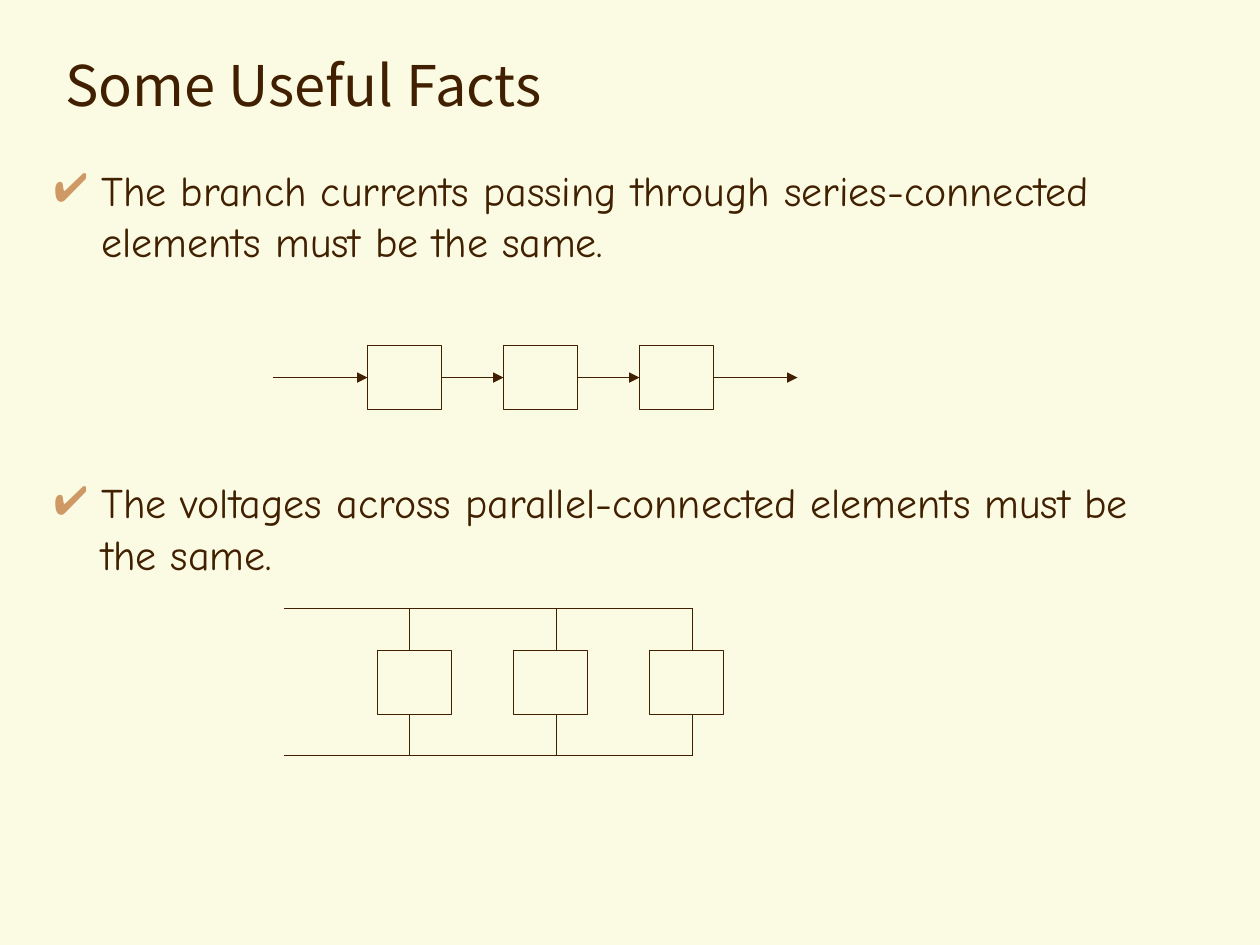
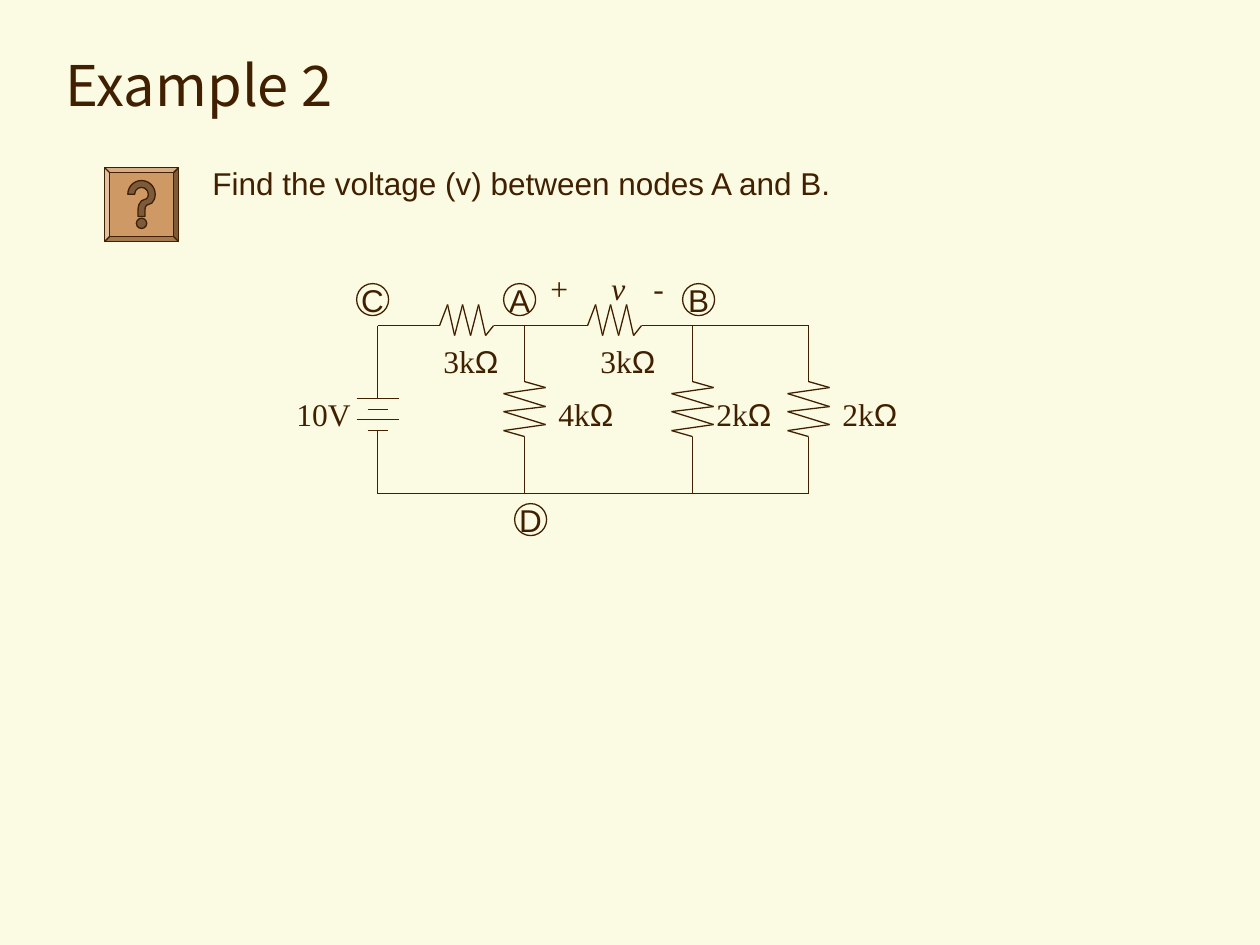
from itertools import pairwise

from lxml import etree
from pptx import Presentation
from pptx import util as u
from pptx.dml.color import RGBColor
from pptx.enum import shapes, text
from pptx.oxml.ns import qn

EMU_PER_PX = 914400 / 126
STROKE_SHIFT = 0.4  # keeps thin strokes off pixel edges, so they draw crisply
INK, PAPER, ACCENT = "402000", "FBFAE2", "CE9964"
TITLE_FONT, BODY_FONT = "Noto Sans CJK KR", "Comic Neue"
SANS, SERIF = "Arial", "Times New Roman"
LINE_WIDTH = u.Pt(0.75)
BOX_WIDTH, BOX_HEIGHT, BOX_STEP = 74, 64, 136

HORIZONTAL_ZIGZAG = [(0, 0), (8, -21), (15, 10), (23, -21),
                     (31, 10), (39, -21), (46, 10), (54, 0)]
VERTICAL_ZIGZAG = [(0, 0), (21, 6), (-21, 12), (21, 25),
                   (-21, 30), (21, 43), (-21, 49), (0, 55)]


def px(length):
    return u.Emu(round(length * EMU_PER_PX))


def stroke_px(position):
    return px(position - STROKE_SHIFT)


def rgb(color):
    return RGBColor.from_string(color)


def set_font(font, name, size, italic=False):
    font.name, font.size, font.italic = name, u.Pt(size), italic
    font.color.rgb = rgb(INK)


# Slide frame
def add_slide(presentation, title):
    layout = presentation.slide_layouts.get_by_name("Title Only")
    slide = presentation.slides.add_slide(layout)
    shape = slide.shapes.title
    shape.left, shape.top, shape.width, shape.height = map(px, (53, 32, 1155, 105))
    frame = shape.text_frame
    frame.text = title
    frame.vertical_anchor = text.MSO_ANCHOR.MIDDLE
    paragraph = frame.paragraphs[0]
    paragraph.alignment = text.PP_ALIGN.LEFT
    set_font(paragraph.font, TITLE_FONT, 32)
    return slide


# Text
def add_text_box(slide, left, top, width, height):
    frame = slide.shapes.add_textbox(*map(px, (left, top, width, height))).text_frame
    frame.word_wrap = True
    return frame


def add_text(slide, words, left, top, width, font=SANS, italic=False):
    paragraph = add_text_box(slide, left, top, width, 50).paragraphs[0]
    paragraph.text = words
    set_font(paragraph.font, font, 18, italic)


def add_resistance(slide, kilo_ohms, left, top):
    paragraph = add_text_box(slide, left, top, 83, 50).paragraphs[0]
    for words, font in ((f"{kilo_ohms}k", SERIF), ("Ω", SANS)):
        run = paragraph.add_run()
        run.text = words
        set_font(run.font, font, 18)


def add_check_bullet(paragraph):
    properties = paragraph._p.get_or_add_pPr()
    properties.set("marL", str(px(47)))
    properties.set("indent", str(-px(47)))
    color = etree.SubElement(properties, qn("a:buClr"))
    etree.SubElement(color, qn("a:srgbClr"), val=ACCENT)
    etree.SubElement(properties, qn("a:buSzPct"), val="120000")
    etree.SubElement(properties, qn("a:buChar"), char="✔")


def add_facts(slide, facts, gap):
    frame = add_text_box(slide, 42, 157, 1166, 662)
    for index, fact in enumerate(facts):
        paragraph = frame.add_paragraph() if index else frame.paragraphs[0]
        paragraph.text = fact
        add_check_bullet(paragraph)
        paragraph.line_spacing = 1.02
        if index:
            paragraph.space_before = u.Pt(gap)
        set_font(paragraph.font, BODY_FONT, 24)


# Outlines and lines
def add_outline(slide, kind, left, top, width, height, fill=None):
    shape = slide.shapes.add_shape(
        kind, stroke_px(left), stroke_px(top), px(width), px(height))
    shape.shadow.inherit = False
    shape.line.color.rgb = rgb(INK)
    shape.line.width = LINE_WIDTH
    if fill:
        shape.fill.solid()
        shape.fill.fore_color.rgb = rgb(fill)
    else:
        shape.fill.background()
    return shape


def add_wire(slide, x1, y1, x2, y2):
    wire = slide.shapes.add_connector(
        shapes.MSO_CONNECTOR.STRAIGHT, *map(stroke_px, (x1, y1, x2, y2)))
    wire.line.color.rgb = rgb(INK)
    wire.line.width = LINE_WIDTH
    etree.SubElement(wire._element.spPr, qn("a:effectLst"))
    return wire


def add_arrow(slide, x1, x2, y, start_box=None, end_box=None):
    arrow = add_wire(slide, x1, y, x2, y)
    etree.SubElement(arrow.line._get_or_add_ln(), qn("a:tailEnd"), type="triangle")
    if start_box is not None:
        arrow.begin_connect(start_box, 3)
    if end_box is not None:
        arrow.end_connect(end_box, 1)


def add_question_button(slide, left, top, size):
    edge = 5
    bevel = add_outline(slide, shapes.MSO_SHAPE.BEVEL, left, top, size, size, ACCENT)
    bevel.adjustments[0] = edge / size
    add_outline(slide, shapes.MSO_SHAPE.ACTION_BUTTON_HELP, left + edge, top + edge,
                size - 2 * edge, size - 2 * edge, ACCENT)


# Circuit parts
def add_element_row(slide, left, top):
    return [add_outline(slide, shapes.MSO_SHAPE.RECTANGLE,
                        left + index * BOX_STEP, top, BOX_WIDTH, BOX_HEIGHT)
            for index in range(3)]


def add_resistor(slide, left, top, zigzag):
    for (x1, y1), (x2, y2) in pairwise(zigzag):
        add_wire(slide, left + x1, top + y1, left + x2, top + y2)


def add_node(slide, letter, left, top):
    node = add_outline(slide, shapes.MSO_SHAPE.OVAL, left, top, 32, 32)
    frame = node.text_frame
    frame.text = letter
    frame.word_wrap = False
    frame.vertical_anchor = text.MSO_ANCHOR.MIDDLE
    paragraph = frame.paragraphs[0]
    paragraph.alignment = text.PP_ALIGN.CENTER
    set_font(paragraph.font, SANS, 18)


def add_series_circuit(slide):
    left, top = 368, 346
    middle = top + BOX_HEIGHT // 2
    boxes = add_element_row(slide, left, top)
    add_arrow(slide, 273, left, middle, end_box=boxes[0])
    for index in range(2):
        start = left + index * BOX_STEP + BOX_WIDTH
        add_arrow(slide, start, left + (index + 1) * BOX_STEP, middle,
                  boxes[index], boxes[index + 1])
    add_arrow(slide, left + 2 * BOX_STEP + BOX_WIDTH, 798, middle, start_box=boxes[2])


def add_parallel_circuit(slide):
    top = 651
    add_element_row(slide, 378, top)
    for rail, box_edge in ((609, top), (756, top + BOX_HEIGHT)):
        add_wire(slide, 284, rail, 693, rail)
        for x in (410, 557, 693):
            add_wire(slide, x, rail, x, box_edge)


def add_example_circuit(slide):
    top, bottom = 326, 494
    battery_x, node_a_x, node_b_x, right_x = 378, 525, 693, 809

    # Rails and horizontal resistors
    add_wire(slide, battery_x, bottom, right_x, bottom)
    for start, end in ((battery_x, 440), (494, 588), (642, right_x)):
        add_wire(slide, start, top, end, top)
    for left in (440, 588):
        add_resistor(slide, left, top, HORIZONTAL_ZIGZAG)

    # Vertical branches
    for x in (node_a_x, node_b_x, right_x):
        add_wire(slide, x, top, x, 382)
        add_resistor(slide, x, 382, VERTICAL_ZIGZAG)
        add_wire(slide, x, 437, x, bottom)

    # Battery
    add_wire(slide, battery_x, top, battery_x, 399)
    add_wire(slide, battery_x, 431, battery_x, bottom)
    for y, half in ((399, 21), (410, 10), (420, 21), (431, 10)):
        add_wire(slide, battery_x - half, y, battery_x + half, y)

    # Values, polarity and nodes
    add_text(slide, "10V", 284, 389, 95, SERIF)
    for kilo_ohms, left, label_top in ((3, 431, 336), (3, 588, 336), (4, 546, 389),
                                       (2, 704, 389), (2, 830, 389)):
        add_resistance(slide, kilo_ohms, left, label_top)
    for sign, left in (("+", 536), ("v", 599), ("-", 641)):
        add_text(slide, sign, left, 263, 47, SERIF, italic=True)
    for letter, left, node_top in (("C", 357, 284), ("Α", 504, 284),
                                   ("Β", 683, 284), ("D", 515, 504)):
        add_node(slide, letter, left, node_top)


def main():
    presentation = Presentation()
    presentation.slide_width, presentation.slide_height = px(1260), px(945)
    background = presentation.slide_master.background.fill
    background.solid()
    background.fore_color.rgb = rgb(PAPER)

    # Series and parallel facts
    slide = add_slide(presentation, "Some Useful Facts")
    add_facts(slide, [
        "The branch currents passing through series-connected elements must be the same.",
        "The voltages across parallel-connected elements must be the same.",
    ], gap=120)
    add_series_circuit(slide)
    add_parallel_circuit(slide)

    # Worked example
    slide = add_slide(presentation, "Example 2")
    add_text(slide, "Find the voltage (v) between nodes A and B.", 200, 158, 872)
    add_question_button(slide, 105, 168, 74)
    add_example_circuit(slide)

    presentation.save("out.pptx")


if __name__ == "__main__":
    main()
